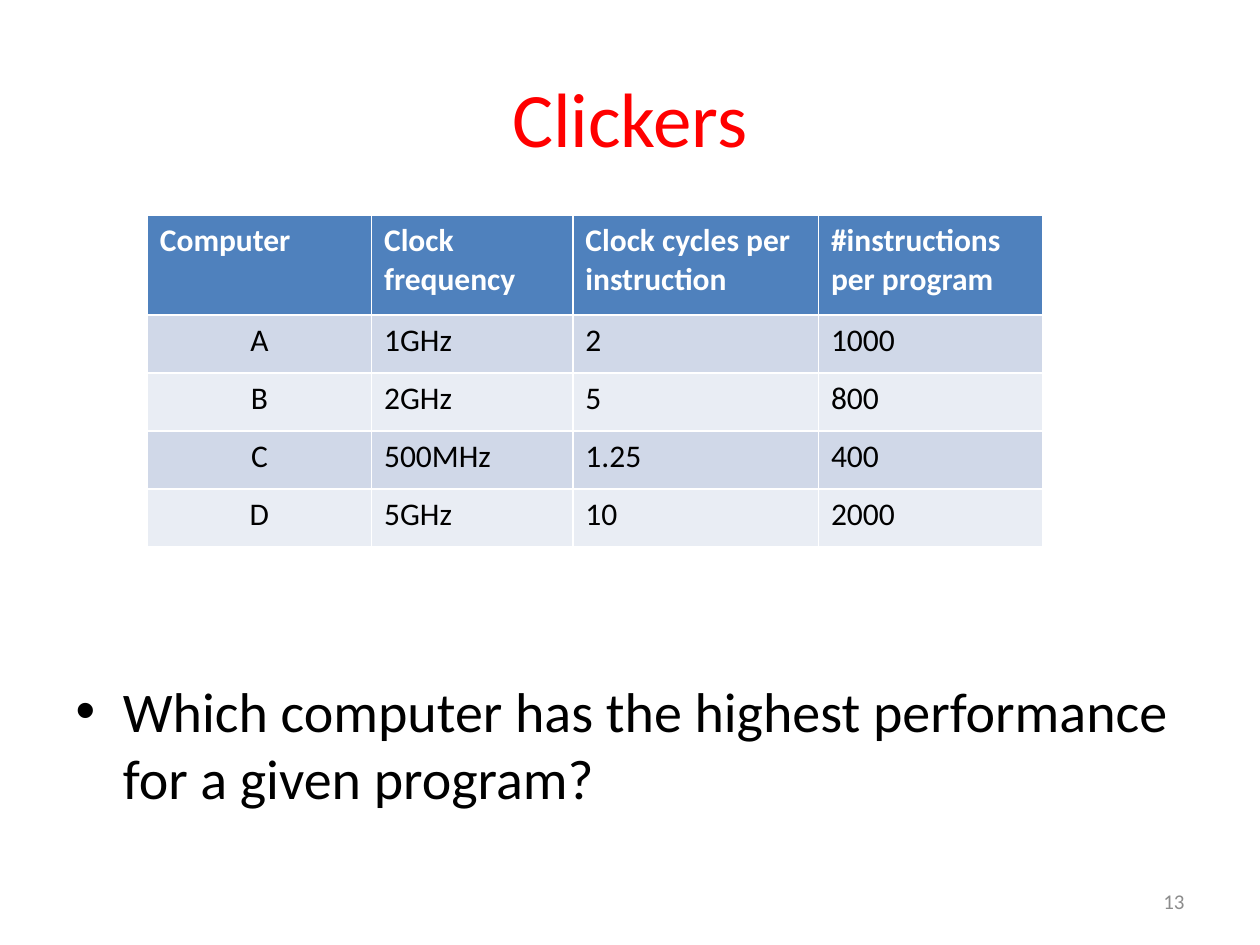
"""Build the clicker question slide on computer performance."""
from pptx import Presentation
from pptx.dml.color import RGBColor
from pptx.enum.text import MSO_ANCHOR, PP_ALIGN
from pptx.util import Cm, Pt

LEFT, CENTER, RIGHT = PP_ALIGN.LEFT, PP_ALIGN.CENTER, PP_ALIGN.RIGHT
MIDDLE = MSO_ANCHOR.MIDDLE
RED = RGBColor(0xFF, 0x00, 0x00)
BLACK = RGBColor(0x00, 0x00, 0x00)
WHITE = RGBColor(0xFF, 0xFF, 0xFF)
GRAY = RGBColor(0x8C, 0x8C, 0x8C)
BLUE = RGBColor(0x4F, 0x81, 0xBD)
BANDS = (RGBColor(0xE9, 0xED, 0xF4), RGBColor(0xD0, 0xD8, 0xE8))

ROWS = (
    ("Computer", "Clock frequency", "Clock cycles per instruction",
     "#instructions per program"),
    ("A", "1GHz", "2", "1000"),
    ("B", "2GHz", "5", "800"),
    ("C", "500MHz", "1.25", "400"),
    ("D", "5GHz", "10", "2000"),
)
WIDTHS = (4.52, 4.06, 4.95, 4.52)
HEIGHTS = (2.01,) + (1.17,) * 4


class Deck:
    """Holds the style and the current slide."""

    font = "Calibri"

    def __init__(self, slide):
        self.slide = slide

    def label(self, frame, text, size, color, align=LEFT, bold=False):
        frame.text = text
        for para in frame.paragraphs:
            para.alignment = align
            for run in para.runs:
                font = run.font
                font.name, font.size, font.bold = self.font, Pt(size), bold
                font.color.rgb = color

    def place(self, shape, box):
        shape.left, shape.top, shape.width, shape.height = map(Cm, box)

    def title(self, text, box):
        shape = self.slide.shapes.title
        self.place(shape, box)
        self.label(shape.text_frame, text, 44, RED, CENTER)
        shape.text_frame.vertical_anchor = MIDDLE

    def body(self, text, box):
        shape = self.slide.placeholders[1]
        self.place(shape, box)
        self.label(shape.text_frame, text, 32, BLACK)

    def number(self, text, box):
        frame = self.slide.shapes.add_textbox(*map(Cm, box)).text_frame
        frame.word_wrap = True
        frame.vertical_anchor = MIDDLE
        self.label(frame, text, 12, GRAY, RIGHT)

    def table(self, rows, left, top, widths, heights):
        box = (left, top, sum(widths), sum(heights))
        grid = self.slide.shapes.add_table(
            len(rows), len(widths), *map(Cm, box)).table
        for col, width in zip(grid.columns, widths):
            col.width = Cm(width)
        for r, (row, height) in enumerate(zip(rows, heights)):
            grid.rows[r].height = Cm(height)
            head = r == 0
            for c, text in enumerate(row):
                cell = grid.cell(r, c)
                cell.fill.solid()
                cell.fill.fore_color.rgb = BLUE if head else BANDS[r % 2]
                align = CENTER if c == 0 and not head else LEFT
                self.label(cell.text_frame, text, 18,
                           WHITE if head else BLACK, align, head)


show = Presentation()
show.slide_width, show.slide_height = Cm(25.4), Cm(19.05)
deck = Deck(show.slides.add_slide(show.slide_layouts[1]))
deck.title("Clickers", (1.27, 0.76, 22.86, 3.18))
deck.body("Which computer has the highest performance for a given program?",
          (1.27, 13.51, 23.62, 3.51))
deck.number("13", (18.21, 17.65, 5.92, 1.02))
deck.table(ROWS, 2.97, 4.34, WIDTHS, HEIGHTS)
show.save("out.pptx")
